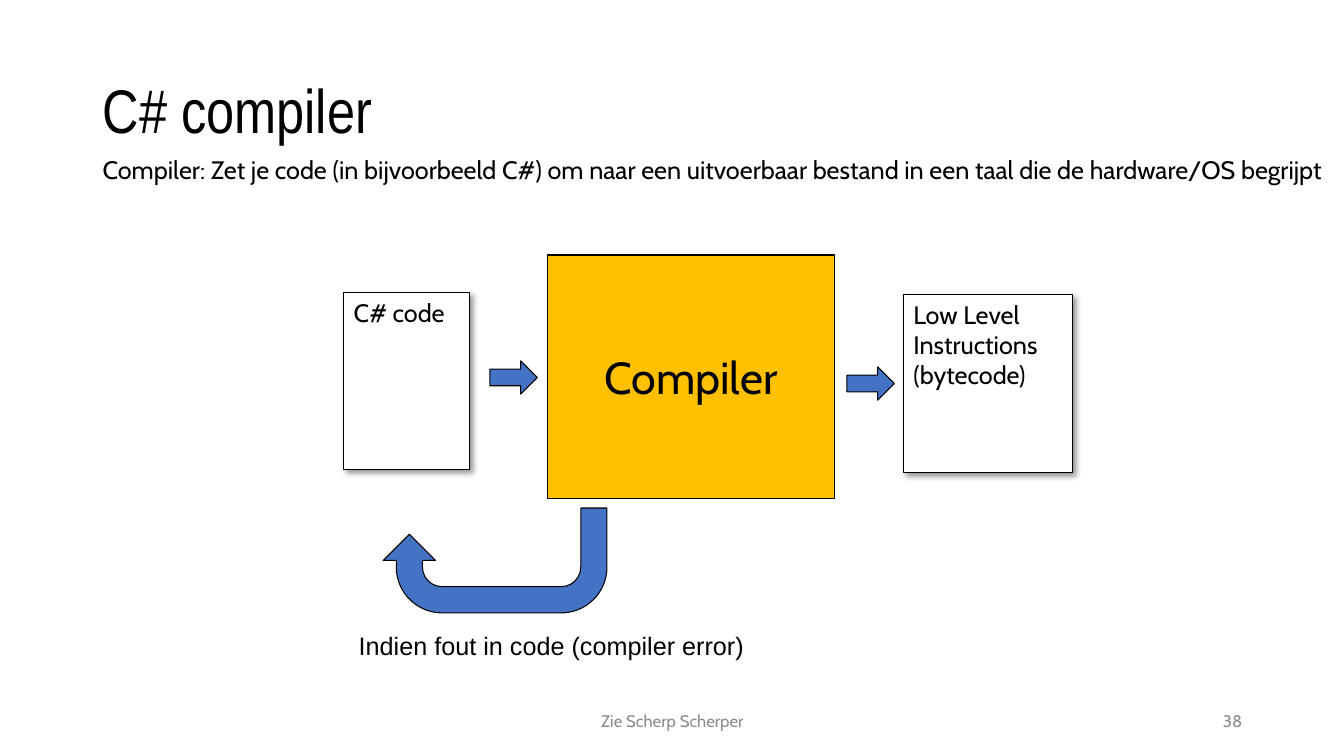
"""Build the slide that shows how a C# compiler turns code into bytecode."""
from dataclasses import dataclass
from typing import Optional

from lxml import etree
from pptx import Presentation
from pptx.dml.color import RGBColor
from pptx.enum.shapes import MSO_SHAPE
from pptx.enum.text import MSO_ANCHOR, MSO_AUTO_SIZE, PP_ALIGN
from pptx.oxml.ns import qn
from pptx.util import Pt

PX = 9144
RECT = MSO_SHAPE.RECTANGLE
RIGHT_ARROW = MSO_SHAPE.RIGHT_ARROW
U_TURN = MSO_SHAPE.U_TURN_ARROW
TOP, MIDDLE = MSO_ANCHOR.TOP, MSO_ANCHOR.MIDDLE
LEFT, CENTER, RIGHT = PP_ALIGN.LEFT, PP_ALIGN.CENTER, PP_ALIGN.RIGHT
GROW = MSO_AUTO_SIZE.SHAPE_TO_FIT_TEXT
COLORS = {
    "black": "000000",
    "white": "FFFFFF",
    "amber": "FFC000",
    "blue": "4472C4",
    "grey": "8C8C8C",
}


@dataclass(frozen=True)
class Label:
    text: str
    size: int = 18
    font: str = "Cabin"
    color: str = "black"
    align: PP_ALIGN = LEFT
    anchor: MSO_ANCHOR = TOP
    wrap: bool = True
    grow: bool = False
    spacing: float = 1.0


@dataclass(frozen=True)
class Item:
    x: int
    y: int
    w: int
    h: int
    label: Optional[Label] = None
    kind: Optional[MSO_SHAPE] = None
    fill: str = "white"
    shadow: bool = False
    rotation: int = 0


ITEMS = [
    Item(92, 40, 1150, 145,
         Label("C# compiler", 44, "Arial Narrow", anchor=MIDDLE, spacing=0.9)),
    Item(341, 290, 125, 176, Label("C# code"), RECT, shadow=True),
    Item(486, 358, 47, 33, kind=RIGHT_ARROW, fill="blue"),
    Item(896, 292, 168, 177, Label("Low Level Instructions (bytecode)"), RECT,
         shadow=True),
    Item(840, 364, 47, 33, kind=RIGHT_ARROW, fill="blue"),
    Item(380, 504, 222, 104, kind=U_TURN, fill="blue", rotation=180),
    Item(346, 620, 406, 40,
         Label("Indien fout in code (compiler error)", font="Arial", wrap=False,
               grow=True)),
    Item(543, 253, 285, 242,
         Label("Compiler", 32, align=CENTER, anchor=MIDDLE), RECT, "amber"),
    Item(92, 148, 1242, 40,
         Label("Compiler: Zet je code (in bijvoorbeeld C#) om naar een uitvoerbaar "
               "bestand in een taal die de hardware/OS begrijpt", grow=True)),
    Item(442, 695, 450, 40,
         Label("Zie Scherp Scherper", 12, color="grey", align=CENTER, anchor=MIDDLE)),
    Item(942, 695, 300, 40,
         Label("38", 12, color="grey", align=RIGHT, anchor=MIDDLE)),
]


def rgb(name: str) -> RGBColor:
    return RGBColor.from_string(COLORS[name])


def add_shadow(sp) -> None:
    effects = sp._element.spPr.find(qn("a:effectLst"))
    shadow = etree.SubElement(effects, qn("a:outerShdw"), blurRad=str(Pt(4)),
                              dist=str(Pt(3)), dir="2700000", algn="tl",
                              rotWithShape="0")
    color = etree.SubElement(shadow, qn("a:srgbClr"), val=COLORS["black"])
    etree.SubElement(color, qn("a:alpha"), val="40000")


def write_label(sp, label: Label) -> None:
    tf = sp.text_frame
    tf.word_wrap = label.wrap
    tf.vertical_anchor = label.anchor
    if label.grow:
        tf.auto_size = GROW
    p = tf.paragraphs[0]
    p.alignment = label.align
    p.line_spacing = label.spacing
    r = p.add_run()
    r.text = label.text
    r.font.name = label.font
    r.font.size = Pt(label.size)
    r.font.color.rgb = rgb(label.color)


def draw(slide, item: Item) -> None:
    box = [v * PX for v in (item.x, item.y, item.w, item.h)]
    if item.kind is None:
        sp = slide.shapes.add_textbox(*box)
    else:
        sp = slide.shapes.add_shape(item.kind, *box)
        sp.rotation = item.rotation
        sp.fill.solid()
        sp.fill.fore_color.rgb = rgb(item.fill)
        sp.line.color.rgb = rgb("black")
        sp.line.width = Pt(0.75)
        sp.shadow.inherit = False
        if item.shadow:
            add_shadow(sp)
    if item.label:
        write_label(sp, item.label)


def main() -> None:
    prs = Presentation()
    prs.slide_width, prs.slide_height = 1333 * PX, 750 * PX
    slide = prs.slides.add_slide(prs.slide_layouts[6])
    for item in ITEMS:
        draw(slide, item)
    prs.save("out.pptx")


if __name__ == "__main__":
    main()
